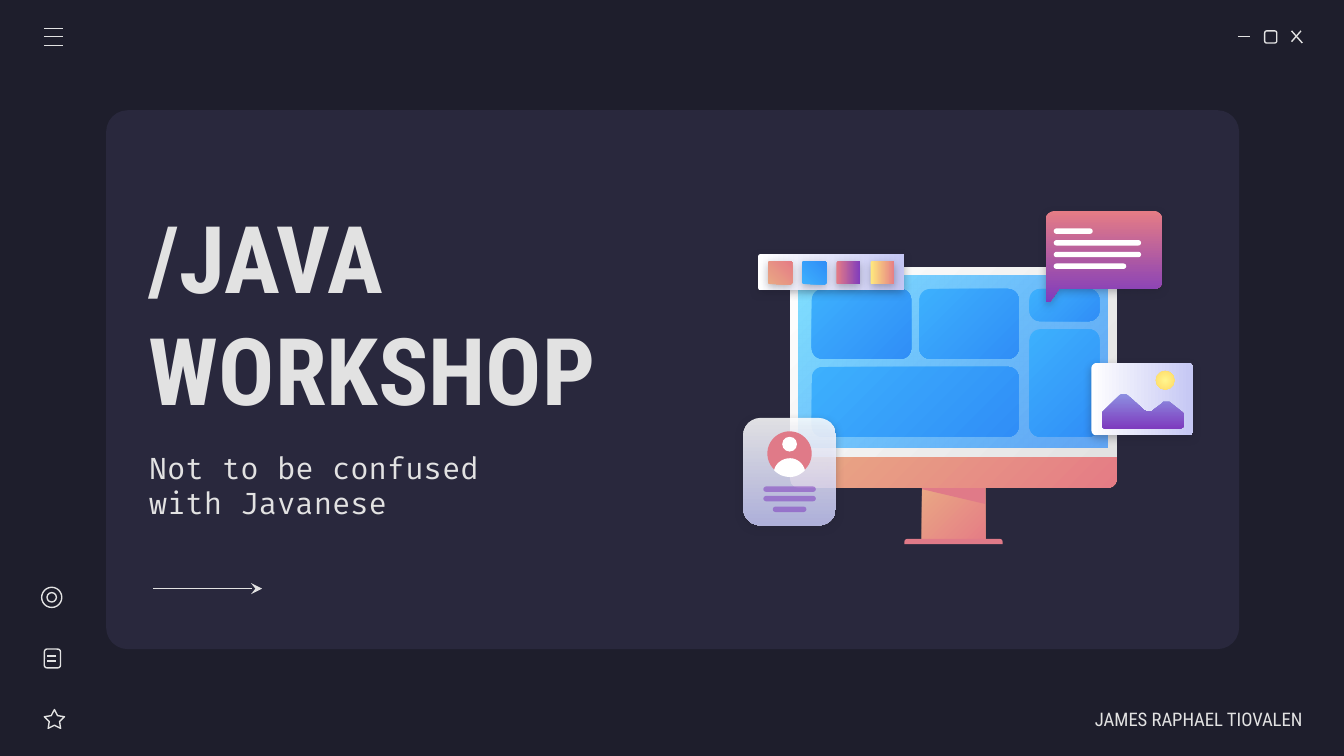
from lxml import etree
from pptx import Presentation, util as u
from pptx.dml.color import RGBColor
from pptx.enum import shapes, text
from pptx.oxml import ns, parse_xml

LIGHT, DARK, WHITE = "E2E2E2", "1E1E2C", "FFFFFF"
ROSE, PURPLE = "E07A88", "7E3BBE"
PEACH = ("E9A984", "E57C85", 45)
BLUE = ("3DB0FD", "308EF7", 45)
CORAL = ("E57C85", PURPLE, 90)
PAPER = (WHITE, "C5C7F4", 90)
KIND = shapes.MSO_SHAPE
NSA = ns.nsdecls("a")


def rgb(color):
    """Turn a hex string into a colour."""
    return RGBColor.from_string(color)


def color_xml(color, alpha=100):
    """Write a colour with its opacity in percent."""
    return f'<a:srgbClr val="{color}"><a:alpha val="{alpha * 1000}"/></a:srgbClr>'


def curve(p0, c, steps=8):
    """Yield points along a cubic curve from p0; c holds x1, y1, x2, y2, x, y."""
    for i in range(1, steps + 1):
        t = i / steps
        w = ((1 - t) ** 3, 3 * t * (1 - t) ** 2, 3 * t * t * (1 - t), t ** 3)
        yield tuple(sum(k * v for k, v in zip(w, (p0[a], c[a], c[a + 2], c[a + 4])))
                    for a in (0, 1))


class Deck:
    """Holds the slide, its style and the group being drawn in."""

    def __init__(self, prs):
        """Add a blank slide with a dark background."""
        self.slide = prs.slides.add_slide(prs.slide_layouts[6])
        self.slide.background.fill.solid()
        self.slide.background.fill.fore_color.rgb = rgb(DARK)
        self.shapes = self.slide.shapes

    def group(self):
        """Start a new group for the elements that follow."""
        self.shapes = self.slide.shapes.add_group_shape().shapes

    def ungroup(self):
        """Go back to drawing straight on the slide."""
        self.shapes = self.slide.shapes

    def paint(self, sp, fill, alpha=100, shadow=False):
        """Fill with a hex string, a (start, end, angle) gradient or nothing."""
        sp.shadow.inherit = False
        if fill is None:
            sp.fill.background()
            sp.line.color.rgb = rgb(LIGHT)
            sp.line.width = u.Pt(0.75)
            return
        sp.line.fill.background()
        sp.fill.solid()
        if isinstance(fill, str):
            xml = f'<a:solidFill {NSA}>{color_xml(fill, alpha)}</a:solidFill>'
        else:
            start, end, angle = fill
            alphas = alpha if isinstance(alpha, tuple) else (alpha, alpha)
            way = ('<a:path path="circle"><a:fillToRect l="50000" t="50000" r="50000" b="50000"/></a:path>'
                   if angle is None else f'<a:lin ang="{angle * 60000}" scaled="0"/>')
            xml = (f'<a:gradFill {NSA} rotWithShape="1"><a:gsLst>'
                   f'<a:gs pos="0">{color_xml(start, alphas[0])}</a:gs>'
                   f'<a:gs pos="100000">{color_xml(end, alphas[1])}</a:gs>'
                   f'</a:gsLst>{way}</a:gradFill>')
        props = sp._element.spPr
        props.replace(props.find(ns.qn("a:solidFill")), parse_xml(xml))
        if shadow:
            props.find(ns.qn("a:effectLst")).append(parse_xml(
                f'<a:outerShdw {NSA} blurRad="{u.Pt(4.5)}" dist="{u.Pt(1.5)}" dir="5400000" '
                f'algn="bl" rotWithShape="0">{color_xml(DARK, 30)}</a:outerShdw>'))

    def shape(self, kind, x, y, w, h, fill=None, adj=(), rot=0, **look):
        """Add a preset shape."""
        sp = self.shapes.add_shape(kind, *map(u.Inches, (x, y, w, h)))
        for i, value in enumerate(adj):
            sp.adjustments[i] = value
        sp.rotation = rot
        self.paint(sp, fill, **look)

    def outline(self, steps, fill, **look):
        """Add a freeform; a step is a point or the six numbers of a curve."""
        points = [steps[0]]
        for step in steps[1:]:
            points += [step] if len(step) == 2 else curve(points[-1], step)
        points = [(u.Inches(x), u.Inches(y)) for x, y in points]
        builder = self.shapes.build_freeform(*points[0])
        builder.add_line_segments(points[1:], close=True)
        self.paint(builder.convert_to_shape(), fill, **look)

    def line(self, x1, y1, x2, y2, head=None):
        """Add a thin light line, with an arrowhead at its end if named."""
        ln = self.shapes.add_connector(shapes.MSO_CONNECTOR.STRAIGHT,
                                       *map(u.Inches, (x1, y1, x2, y2)))
        ln.line.color.rgb = rgb(LIGHT)
        ln.line.width = u.Pt(0.75)
        if head:
            etree.SubElement(ln.line._get_or_add_ln(), ns.qn("a:tailEnd"), type=head)
        etree.SubElement(ln._element.spPr, ns.qn("a:effectLst"))

    def text(self, x, y, w, h, words, font, size, bold=False, align="LEFT", right=0.1):
        """Add a text box centred vertically."""
        tf = self.shapes.add_textbox(*map(u.Inches, (x, y, w, h))).text_frame
        tf.word_wrap = True
        tf.vertical_anchor = text.MSO_ANCHOR.MIDDLE
        tf.margin_left = tf.margin_top = tf.margin_bottom = u.Inches(0.1)
        tf.margin_right = u.Inches(right)
        p = tf.paragraphs[0]
        p.text = words
        p.alignment = getattr(text.PP_ALIGN, align)
        p.font.name, p.font.size, p.font.bold = font, u.Pt(size), bold
        p.font.color.rgb = rgb(LIGHT)


prs = Presentation()
prs.slide_width = u.Inches(10)
prs.slide_height = prs.slide_width * 9 // 16
d = Deck(prs)
ROUND, TOPS = KIND.ROUNDED_RECTANGLE, KIND.ROUND_2_SAME_RECTANGLE

# Panel and window buttons
d.shape(ROUND, 0.79, 0.82, 8.43, 4.01, "29283D", adj=[0.04])
d.group()
d.line(9.21, 0.27, 9.3, 0.27)
d.shape(ROUND, 9.41, 0.23, 0.09, 0.09, adj=[0.167])
d.line(9.61, 0.23, 9.69, 0.32)
d.line(9.68, 0.23, 9.61, 0.31)

# Title and subtitle
d.ungroup()
d.text(1.01, 3.38, 3.24, 0.46, "Not to be confused with Javanese", "Fira Code", 16)
d.text(1.01, 1.44, 4.47, 1.76, "/JAVA WORKSHOP", "Roboto Condensed", 50, bold=True)

# Monitor
d.group()
d.shape(KIND.RECTANGLE, 6.86, 3.61, 0.47, 0.43, PEACH)
d.shape(TOPS, 6.73, 4.01, 0.73, 0.04, ROSE, adj=[0.5, 0])
d.outline([(6.86, 3.61), (6.86, 3.64), (7.33, 3.75), (7.33, 3.61)], ROSE)
d.shape(TOPS, 5.88, 3.39, 2.43, 0.24, PEACH, adj=[0, 0.27])
d.shape(TOPS, 5.88, 1.99, 2.43, 1.41, (WHITE, LIGHT, 45), adj=[0.04, 0])
d.shape(KIND.RECTANGLE, 5.94, 2.05, 2.3, 1.28, ("80DFFF", "318FFA", 45), alpha=(100, 72))
for x, y, w, h in [(6.04, 2.15, 0.74, 0.52), (6.04, 2.73, 1.54, 0.52), (6.84, 2.15, 0.74, 0.52),
                   (7.66, 2.15, 0.52, 0.24), (7.66, 2.45, 0.52, 0.8)]:
    d.shape(ROUND, x, y, w, h, BLUE, adj=[0.08 / min(w, h)])

# Speech bubble
d.group()
d.outline([(7.85, 1.57), (7.81, 1.57, 7.78, 1.6, 7.78, 1.64), (7.78, 2.24),
           (7.78, 2.25, 7.79, 2.25, 7.8, 2.25), (7.81, 2.25), (7.88, 2.15), (8.59, 2.15),
           (8.62, 2.15, 8.65, 2.12, 8.65, 2.09), (8.65, 1.64),
           (8.65, 1.6, 8.62, 1.57, 8.59, 1.57)], CORAL, shadow=True)
for i, w in enumerate([0.29, 0.65, 0.65, 0.54]):
    d.shape(ROUND, 7.84, 1.7 + i * 0.087, w, 0.04, WHITE, adj=[0.5])

# Menu icon
d.group()
for y in (0.21, 0.27, 0.34):
    d.line(0.33, y, 0.47, y)

# Profile card
d.group()
d.shape(ROUND, 5.53, 3.11, 0.69, 0.8, PAPER, adj=[0.187], alpha=86, shadow=True)
d.shape(KIND.OVAL, 5.71, 3.21, 0.33, 0.33, ROSE)
d.shape(KIND.OVAL, 5.82, 3.25, 0.11, 0.11, WHITE)
d.outline([(5.88, 3.41), (5.82, 3.41, 5.77, 3.45, 5.76, 3.5), (5.79, 3.53, 5.83, 3.55, 5.88, 3.55),
           (5.92, 3.55, 5.96, 3.53, 5.99, 3.5), (5.98, 3.45, 5.93, 3.41, 5.88, 3.41)], WHITE)
for x, y, w in [(5.68, 3.62, 0.39), (5.68, 3.69, 0.39), (5.75, 3.77, 0.25)]:
    d.shape(ROUND, x, y, w, 0.04, PURPLE, adj=[0.5], alpha=54)

# Photo card
d.group()
d.shape(ROUND, 8.23, 2.59, 0.54, 0.76, PAPER, adj=[0.073], rot=270, shadow=True)
d.outline([(8.36, 2.93), (8.35, 2.93, 8.34, 2.93, 8.33, 2.94), (8.21, 3.06),
           (8.2, 3.07, 8.2, 3.07, 8.2, 3.08), (8.2, 3.16), (8.2, 3.18, 8.21, 3.19, 8.23, 3.19),
           (8.77, 3.19), (8.79, 3.19, 8.81, 3.18, 8.81, 3.16), (8.81, 3.09),
           (8.81, 3.08, 8.8, 3.07, 8.8, 3.07), (8.7, 2.99), (8.69, 2.99, 8.68, 2.99, 8.67, 2.99),
           (8.66, 2.99, 8.65, 2.99, 8.65, 3), (8.57, 3.06), (8.56, 3.06, 8.55, 3.06, 8.54, 3.06),
           (8.53, 3.06, 8.52, 3.06, 8.51, 3.05), (8.39, 2.94),
           (8.38, 2.93, 8.37, 2.93, 8.36, 2.93)], ("8D90E1", PURPLE, 90))
d.shape(KIND.OVAL, 8.6, 2.76, 0.14, 0.14, ("FFF68E", "FFD966", None))

# Colour palette
d.group()
d.shape(ROUND, 6.05, 1.48, 0.27, 1.09, PAPER, adj=[0.073], rot=270, shadow=True)
for i, swatch in enumerate([PEACH, BLUE, CORAL, ("FFEA7D", "E57C85", 90)]):
    d.shape(ROUND, 5.72 + i * 0.254, 1.94, 0.17, 0.18, swatch, adj=[0.073], rot=270, shadow=True)

# Side icons
d.group()
d.shape(KIND.STAR_5_POINT, 0.33, 5.28, 0.15, 0.14, adj=[0.254, 1.051, 1.106])
d.shape(ROUND, 0.33, 4.83, 0.12, 0.14, adj=[0.167])
for y in (4.88, 4.92):
    d.line(0.35, y, 0.42, y)
d.shape(KIND.OVAL, 0.31, 4.37, 0.15, 0.15)
d.shape(KIND.OVAL, 0.35, 4.41, 0.07, 0.07)

# Arrow and author
d.ungroup()
d.line(1.14, 4.38, 1.95, 4.38, head="stealth")
d.text(7.33, 5.2, 2.36, 0.3, "JAMES RAPHAEL TIOVALEN", "Roboto Condensed", 10,
       align="RIGHT", right=0)

prs.save("out.pptx")
